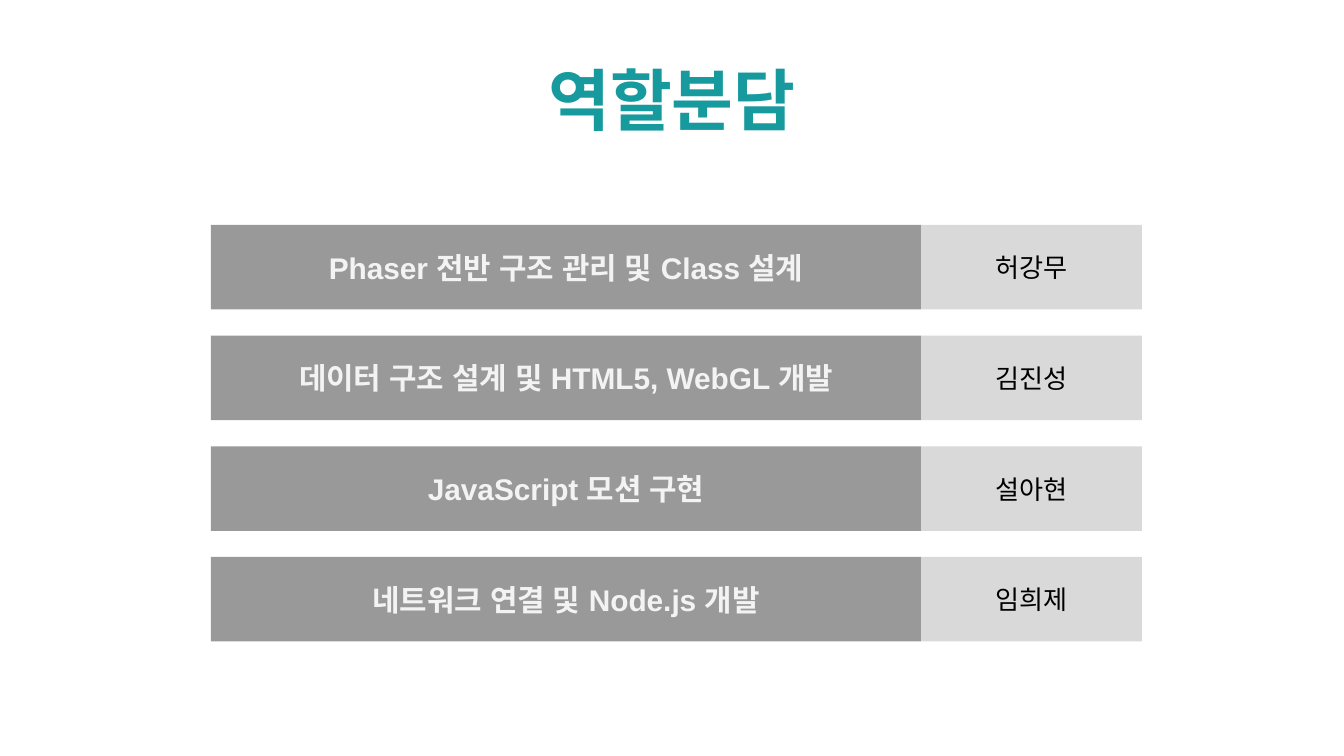
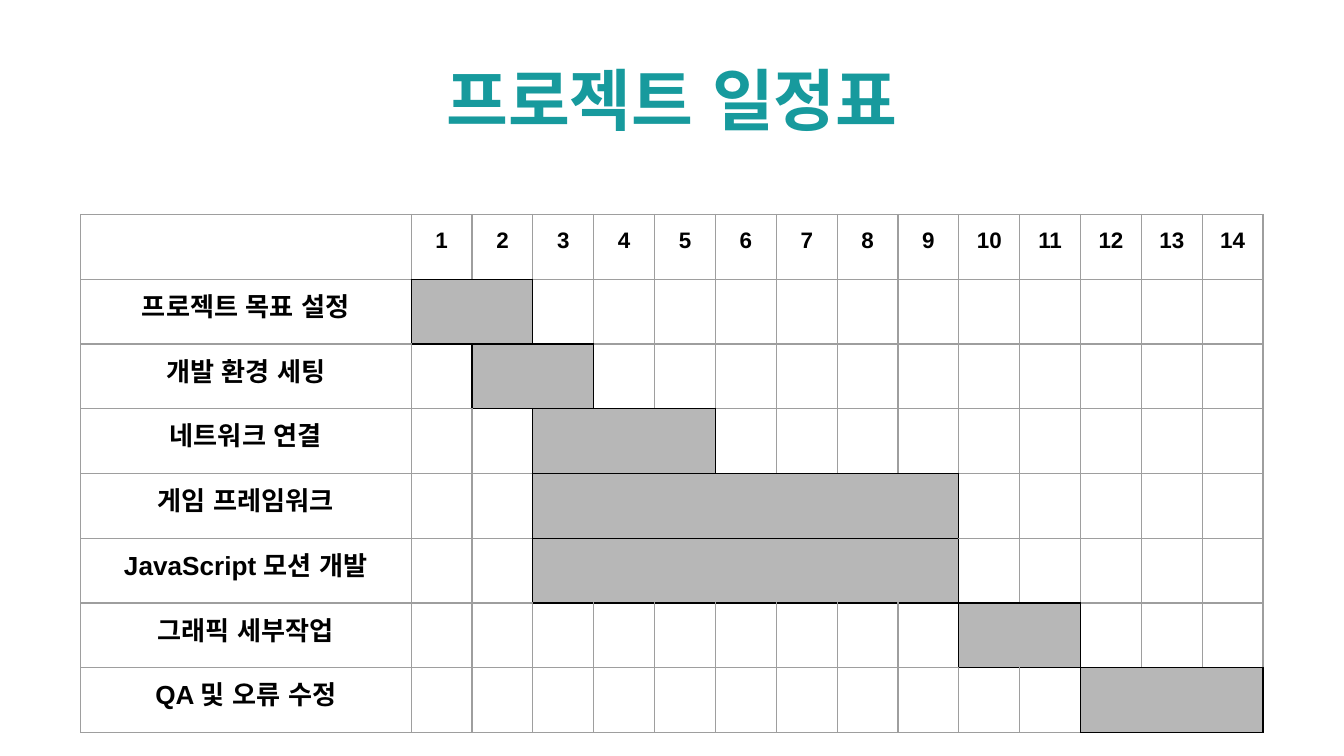
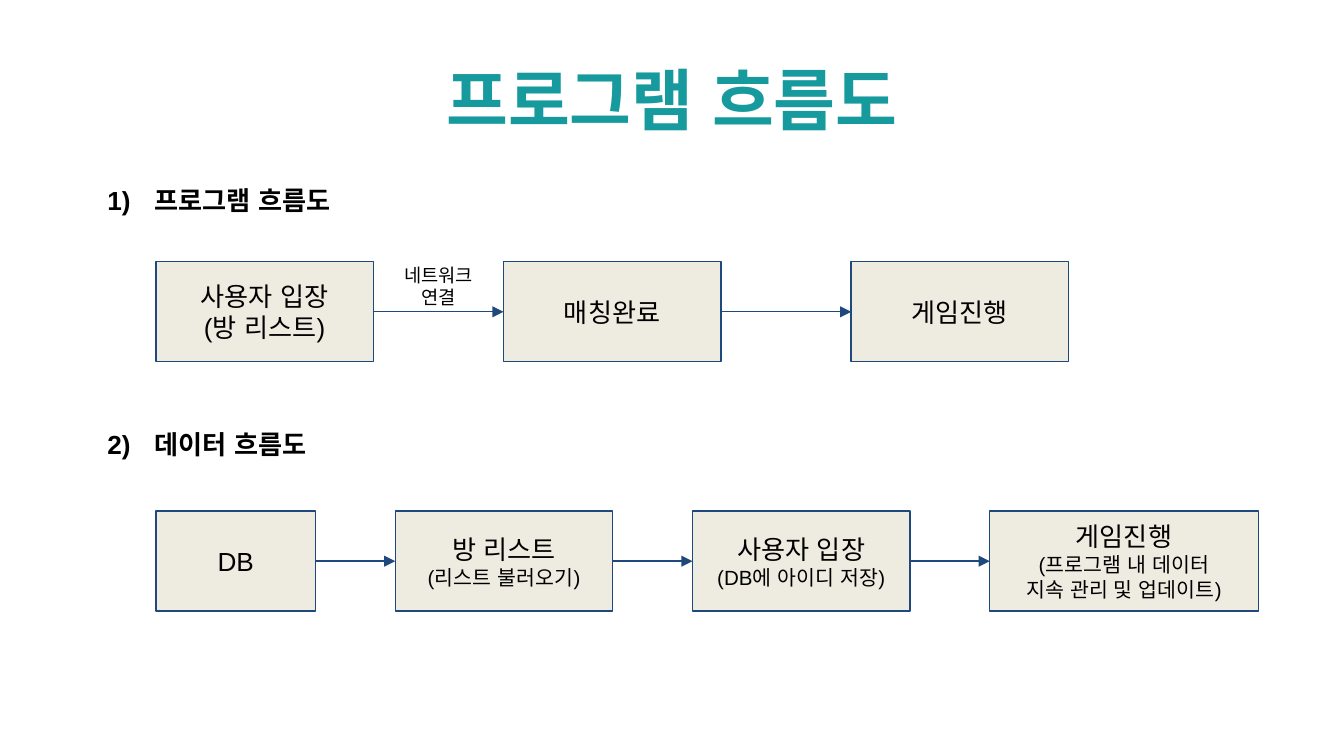
from itertools import pairwise
from lxml.etree import SubElement
from pptx import Presentation
from pptx.dml.color import RGBColor
from pptx.enum.shapes import MSO_CONNECTOR, MSO_SHAPE
from pptx.enum.text import MSO_ANCHOR, PP_ALIGN
from pptx.oxml.ns import qn
from pptx.util import Pt

TEAL = "179A9D"
BLACK = "000000"
NAVY = "1F497D"
CREAM = "EEECE1"
GRID_GRAY = "9E9E9E"
BAR_GRAY = "B7B7B7"
FONT = "Arial"


def color(hex_value):
    return RGBColor.from_string(hex_value)


def write(frame, text, size=14, detail_size=None, fill=BLACK, bold=False,
          align=PP_ALIGN.CENTER, anchor=MSO_ANCHOR.MIDDLE, inset=7.2):
    frame.word_wrap = True
    frame.vertical_anchor = anchor
    frame.margin_left = frame.margin_right = Pt(7.2)
    frame.margin_top = frame.margin_bottom = Pt(inset)
    for index, line in enumerate(text.split("\n")):
        paragraph = frame.add_paragraph() if index else frame.paragraphs[0]
        paragraph.alignment = align
        run = paragraph.add_run()
        run.text = line
        run.font.size = Pt(detail_size if index and detail_size else size)
        run.font.bold = bold
        run.font.name = FONT
        run.font.color.rgb = color(fill)
        SubElement(run.font._element, qn("a:ea"), typeface=FONT)


deck = Presentation()
deck.slide_width, deck.slide_height = Pt(720), Pt(405)

slides = []
for title in ("역할분담", "프로젝트 일정표", "프로그램 흐름도"):
    slide = deck.slides.add_slide(deck.slide_layouts[6])
    title_box = slide.shapes.add_textbox(Pt(0), Pt(30), Pt(720), Pt(45.4))
    write(title_box.text_frame, title, size=36, fill=TEAL, bold=True, inset=3.6)
    slides.append(slide)
roles_slide, schedule_slide, flow_slide = slides

roles = [
    ("Phaser 전반 구조 관리 및 Class 설계", "허강무"),
    ("데이터 구조 설계 및 HTML5, WebGL 개발", "김진성"),
    ("JavaScript 모션 구현", "설아현"),
    ("네트워크 연결 및 Node.js 개발", "임희제"),
]
for index, (task, member) in enumerate(roles):
    top = 120.5 + index * 59.3
    for text, left, width, back, style in (
        (task, 113, 380.5, "999999", dict(size=16, fill="F3F3F3", bold=True)),
        (member, 493.5, 118.3, "D9D9D9", dict(size=14)),
    ):
        band = roles_slide.shapes.add_shape(
            MSO_SHAPE.RECTANGLE, Pt(left), Pt(top), Pt(width), Pt(45.3))
        band.shadow.inherit = False
        band.fill.solid()
        band.fill.fore_color.rgb = color(back)
        band.line.fill.background()
        write(band.text_frame, text, **style)

WEEKS = 14
phases = [
    ("프로젝트 목표 설정", 1, 2),
    ("개발 환경 세팅", 2, 3),
    ("네트워크 연결", 3, 5),
    ("게임 프레임워크", 3, 9),
    ("JavaScript 모션 개발", 3, 9),
    ("그래픽 세부작업", 10, 11),
    ("QA 및 오류 수정", 12, 14),
]
row_count, column_count = len(phases) + 1, WEEKS + 1
schedule = schedule_slide.shapes.add_table(
    row_count, column_count, Pt(43.2), Pt(114.9), Pt(633.5), Pt(277.6)).table
schedule.first_row = schedule.horz_banding = False
for row in schedule.rows:
    row.height = Pt(34.7)
for index, column in enumerate(schedule.columns):
    column.width = Pt(32.6 if index else 177.1)

busy = {(row, week) for row, (_, start, end) in enumerate(phases, 1)
        for week in range(start, end + 1)}
sides = {"a:lnL": (0, -1), "a:lnR": (0, 1), "a:lnT": (-1, 0), "a:lnB": (1, 0)}
for row in range(row_count):
    for week in range(column_count):
        cell = schedule.cell(row, week)
        properties = cell._tc.get_or_add_tcPr()
        for tag, (down, right) in sides.items():
            touches_bar = busy & {(row, week), (row + down, week + right)}
            border = SubElement(properties, qn(tag), w=str(Pt(0.75)))
            paint = SubElement(border, qn("a:solidFill"))
            SubElement(paint, qn("a:srgbClr"), val=BLACK if touches_bar else GRID_GRAY)
        if (row, week) in busy:
            cell.fill.solid()
            cell.fill.fore_color.rgb = color(BAR_GRAY)
        else:
            cell.fill.background()

for week in range(1, column_count):
    header = schedule.cell(0, week)
    write(header.text_frame, str(week), size=12, bold=True, anchor=MSO_ANCHOR.TOP)
    header.margin_top = header.margin_bottom = Pt(7.2)
for row, (phase, start, end) in enumerate(phases, 1):
    label = schedule.cell(row, 0)
    write(label.text_frame, phase, bold=True, anchor=MSO_ANCHOR.TOP)
    label.margin_top = label.margin_bottom = Pt(7.2)
    schedule.cell(row, start).merge(schedule.cell(row, end))

headings = flow_slide.shapes.add_textbox(Pt(39.6), Pt(91.4), Pt(577.4), Pt(20.2))
write(headings.text_frame, "프로그램 흐름도\n데이터 흐름도", bold=True,
      align=PP_ALIGN.LEFT, anchor=MSO_ANCHOR.TOP)
headings.text_frame.paragraphs[1].space_before = Pt(114)
for heading in headings.text_frame.paragraphs:
    numbering = heading._p.get_or_add_pPr()
    numbering.set("marL", str(Pt(36)))
    numbering.set("indent", str(Pt(-25.2)))
    bullet_color = SubElement(numbering, qn("a:buClr"))
    SubElement(bullet_color, qn("a:srgbClr"), val=BLACK)
    SubElement(numbering, qn("a:buAutoNum"), type="arabicParenR")

flows = [
    (140.2, 69.7, 14, [("사용자 입장\n(방 리스트)", 116.5), ("매칭완료", 116.5),
                       ("게임진행", 116.5)]),
    (273.8, 42.7, 11, [("DB", 85.5), ("방 리스트\n(리스트 불러오기)", 116.5),
                       ("사용자 입장\n(DB에 아이디 저장)", 116.5),
                       ("게임진행\n(프로그램 내 데이터\n지속 관리 및 업데이트)", 144)]),
]
for top, gap, detail_size, stages in flows:
    left = 83.6
    steps = []
    for text, width in stages:
        step = flow_slide.shapes.add_shape(
            MSO_SHAPE.RECTANGLE, Pt(left), Pt(top), Pt(width), Pt(53.7))
        step.shadow.inherit = False
        step.fill.solid()
        step.fill.fore_color.rgb = color(CREAM)
        step.line.color.rgb = color(NAVY)
        step.line.width = Pt(0.75)
        write(step.text_frame, text, detail_size=detail_size)
        steps.append(step)
        left += width + gap
    for source, target in pairwise(steps):
        arrow = flow_slide.shapes.add_connector(MSO_CONNECTOR.STRAIGHT, 0, 0, 0, 0)
        arrow.begin_connect(source, 3)
        arrow.end_connect(target, 1)
        arrow.line.color.rgb = color(NAVY)
        arrow.line.width = Pt(0.75)
        SubElement(arrow.line._get_or_add_ln(), qn("a:tailEnd"), type="triangle")
        SubElement(arrow._element.spPr, qn("a:effectLst"))

network_label = flow_slide.shapes.add_textbox(Pt(196.6), Pt(133.9), Pt(77), Pt(42.5))
write(network_label.text_frame, "네트워크\n연결", size=10, anchor=MSO_ANCHOR.TOP)

deck.save("out.pptx")
